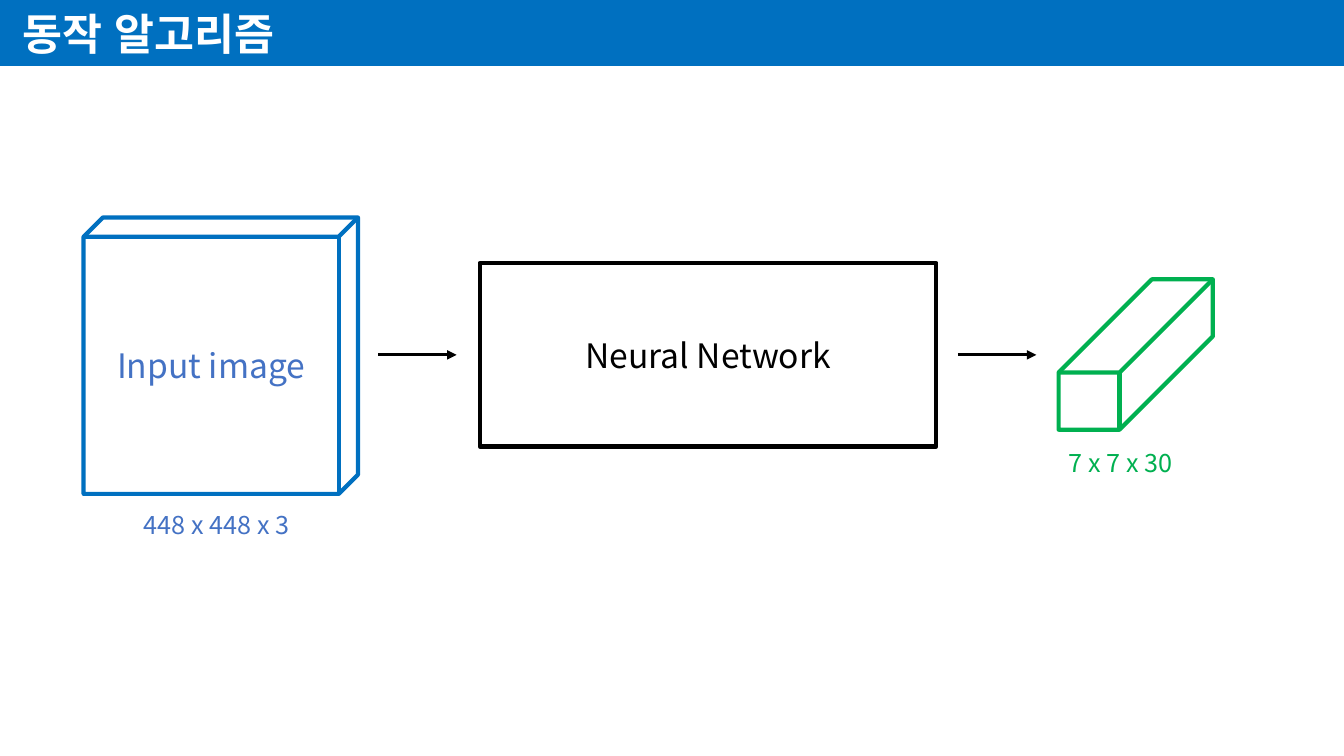
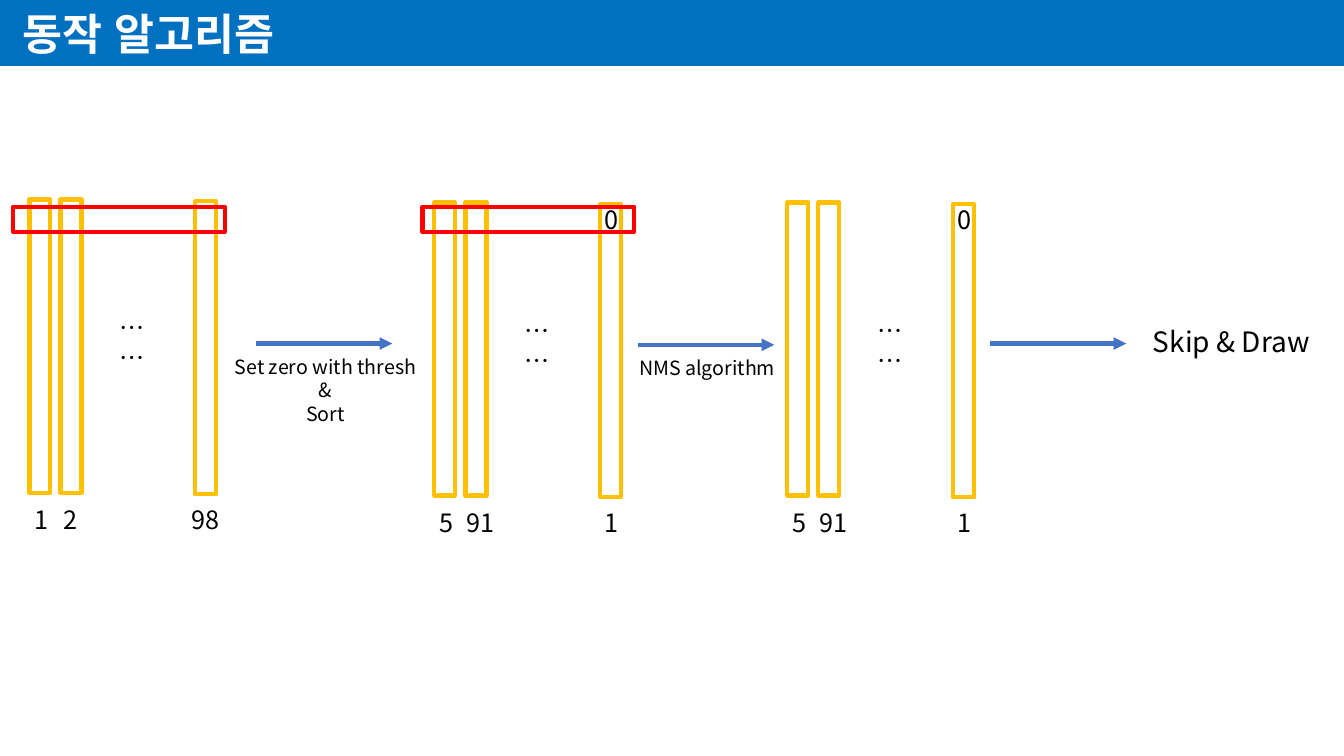
import dataclasses
import typing

import lxml.etree
import pptx
import pptx.dml.color
import pptx.enum.shapes
import pptx.enum.text
import pptx.oxml.ns
import pptx.util

# Grid: 32 columns by 18 rows of square cells
WIDE, HIGH = pptx.util.Inches(13.33), pptx.util.Inches(7.5)
COLS, ROWS = 32, 18
CELL = HIGH / ROWS

COLOR = {
    "band": "0070C0", "white": "FFFFFF", "black": "000000", "blue": "4472C4",
    "green": "00B050", "gold": "FFC000", "red": "FF0000",
}
SANS, HEAD = "Noto Sans CJK KR", "Arial"
TITLE = "동작 알고리즘"
KIND = pptx.enum.shapes.MSO_SHAPE
ALIGN = pptx.enum.text.PP_ALIGN
qn = pptx.oxml.ns.qn


class Box(typing.NamedTuple):
    left: float
    top: float
    width: float
    height: float


@dataclasses.dataclass
class Label:
    text: str
    box: Box
    size: int = 18
    color: str = "black"
    font: str = SANS
    bold: bool = False
    center: bool = False
    wrap: bool = False


@dataclasses.dataclass
class Solid:
    box: Box
    line: str | None
    kind: typing.Any = KIND.RECTANGLE
    fill: str | None = None
    depth: float | None = None
    text: str = ""
    ink: str = "black"


@dataclasses.dataclass
class Arrow:
    left: float
    right: float
    row: float
    color: str = "blue"
    weight: float = 3


@dataclasses.dataclass
class Stack:
    left: float
    top: float
    marks: list[tuple[str, float]]
    zero: bool = False


def span(cells: float) -> int:
    return round(cells * CELL)


def rgb(name: str) -> pptx.dml.color.RGBColor:
    return pptx.dml.color.RGBColor.from_string(COLOR[name])


def write(frame, label: Label) -> None:
    for spot, line in enumerate(label.text.split("\n")):
        para = frame.add_paragraph() if spot else frame.paragraphs[0]
        para.alignment = ALIGN.CENTER if label.center else ALIGN.LEFT
        run = para.add_run()
        run.text = line
        run.font.name = label.font
        run.font.size = pptx.util.Pt(label.size)
        run.font.bold = label.bold
        run.font.color.rgb = rgb(label.color)
        east = lxml.etree.SubElement(run.font._element, qn("a:ea"))
        east.set("typeface", label.font)


def put_label(slide, label: Label) -> None:
    frame = slide.shapes.add_textbox(*map(span, label.box)).text_frame
    frame.word_wrap = label.wrap
    frame.auto_size = pptx.enum.text.MSO_AUTO_SIZE.SHAPE_TO_FIT_TEXT
    write(frame, label)


def put_solid(slide, solid: Solid) -> None:
    shape = slide.shapes.add_shape(solid.kind, *map(span, solid.box))
    shape.shadow.inherit = False
    if solid.depth is not None:
        shape.adjustments[0] = solid.depth
    if solid.fill:
        shape.fill.solid()
        shape.fill.fore_color.rgb = rgb(solid.fill)
    else:
        shape.fill.background()
    if solid.line:
        shape.line.color.rgb = rgb(solid.line)
        shape.line.width = pptx.util.Pt(3)
    else:
        shape.line.fill.background()
    if solid.text:
        shape.text_frame.vertical_anchor = pptx.enum.text.MSO_ANCHOR.MIDDLE
        write(shape.text_frame,
              Label(solid.text, solid.box, 24, solid.ink, center=True))


def put_arrow(slide, arrow: Arrow) -> None:
    row = span(arrow.row)
    link = slide.shapes.add_connector(
        pptx.enum.shapes.MSO_CONNECTOR.STRAIGHT,
        span(arrow.left), row, span(arrow.right), row)
    link.line.color.rgb = rgb(arrow.color)
    link.line.width = pptx.util.Pt(arrow.weight)
    tip = lxml.etree.SubElement(link.line._get_or_add_ln(), qn("a:tailEnd"))
    tip.set("type", "triangle")
    lxml.etree.SubElement(link._element.spPr, qn("a:effectLst"))


def put_stack(slide, stack: Stack) -> None:
    # Three bars, the last one slightly lower
    for shift, drop in ((0, 0), (0.74, 0), (3.95, 0.04)):
        put_solid(slide, Solid(
            Box(stack.left + shift, stack.top + drop, 0.5, 6.98), "gold"))
    put_label(slide, Label(
        "……", Box(stack.left + 1.9, stack.top + 2.57, 1.39, 0.96), wrap=True))
    # Box numbers below the bars
    for text, shift in stack.marks:
        width = 0.82 if len(text) == 1 else 1.15
        put_label(slide, Label(
            text, Box(stack.left + shift, stack.top + 7.13, width, 0.96)))
    if stack.zero:
        put_label(slide, Label(
            "0", Box(stack.left + 3.82, stack.top - 0.07, 0.82, 0.96)))


def new_slide(deck):
    slide = deck.slides.add_slide(deck.slide_layouts[6])
    put_solid(slide, Solid(Box(0, 0, COLS, 1.57), None, fill="band"))
    put_label(slide, Label(TITLE, Box(0.31, 0.05, 7.03, 1.49), 31,
                           "white", HEAD, bold=True))
    return slide


def draw_flow(deck) -> None:
    slide = new_slide(deck)
    # Input, network and output
    for solid in (
        Solid(Box(11.42, 6.26, 10.87, 4.37), "black", fill="white",
              text="Neural Network"),
        Solid(Box(1.99, 5.18, 6.53, 6.58), "band", KIND.CUBE, depth=0.07,
              text="Input image", ink="blue"),
        Solid(Box(25.2, 6.65, 3.67, 3.58), "green", KIND.CUBE, depth=0.62),
    ):
        put_solid(slide, solid)
    for left in (9, 22.8):
        put_arrow(slide, Arrow(left, left + 1.87, 8.45, "black", 2.25))
    # Tensor sizes
    put_label(slide, Label("448 x 448 x 3", Box(3.19, 12.02, 4.22, 0.96),
                           color="blue"))
    put_label(slide, Label("7 x 7 x 30", Box(25.2, 10.54, 3.24, 0.96),
                           color="green"))


def draw_sort(deck) -> None:
    slide = new_slide(deck)
    # Score stacks before and after each step
    first = [("1", -0.12), ("2", 0.58), ("98", 3.62)]
    ranked = [("5", -0.12), ("91", 0.53), ("1", 3.82)]
    for stack in (
        Stack(0.7, 4.75, first),
        Stack(10.34, 4.82, ranked, zero=True),
        Stack(18.74, 4.82, ranked, zero=True),
    ):
        put_stack(slide, stack)
    # Steps
    for left, row in ((6.1, 8.18), (15.19, 8.21), (23.57, 8.18)):
        put_arrow(slide, Arrow(left, left + 3.24, row))
    for text, box, size in (
        ("Set zero with thresh\n&\nSort", Box(5.35, 8.33, 4.8, 1.94), 14),
        ("NMS algorithm", Box(14.95, 8.35, 3.77, 0.82), 14),
        ("Skip & Draw", Box(27.14, 7.61, 4.34, 1.06), 20),
    ):
        put_label(slide, Label(text, box, size, center=True))
    # Row frames
    for left in (0.31, 10.06):
        put_solid(slide, Solid(Box(left, 4.92, 5.04, 0.6), "red"))


deck = pptx.Presentation()
deck.slide_width, deck.slide_height = WIDE, HIGH
draw_flow(deck)
draw_sort(deck)
deck.save("out.pptx")
